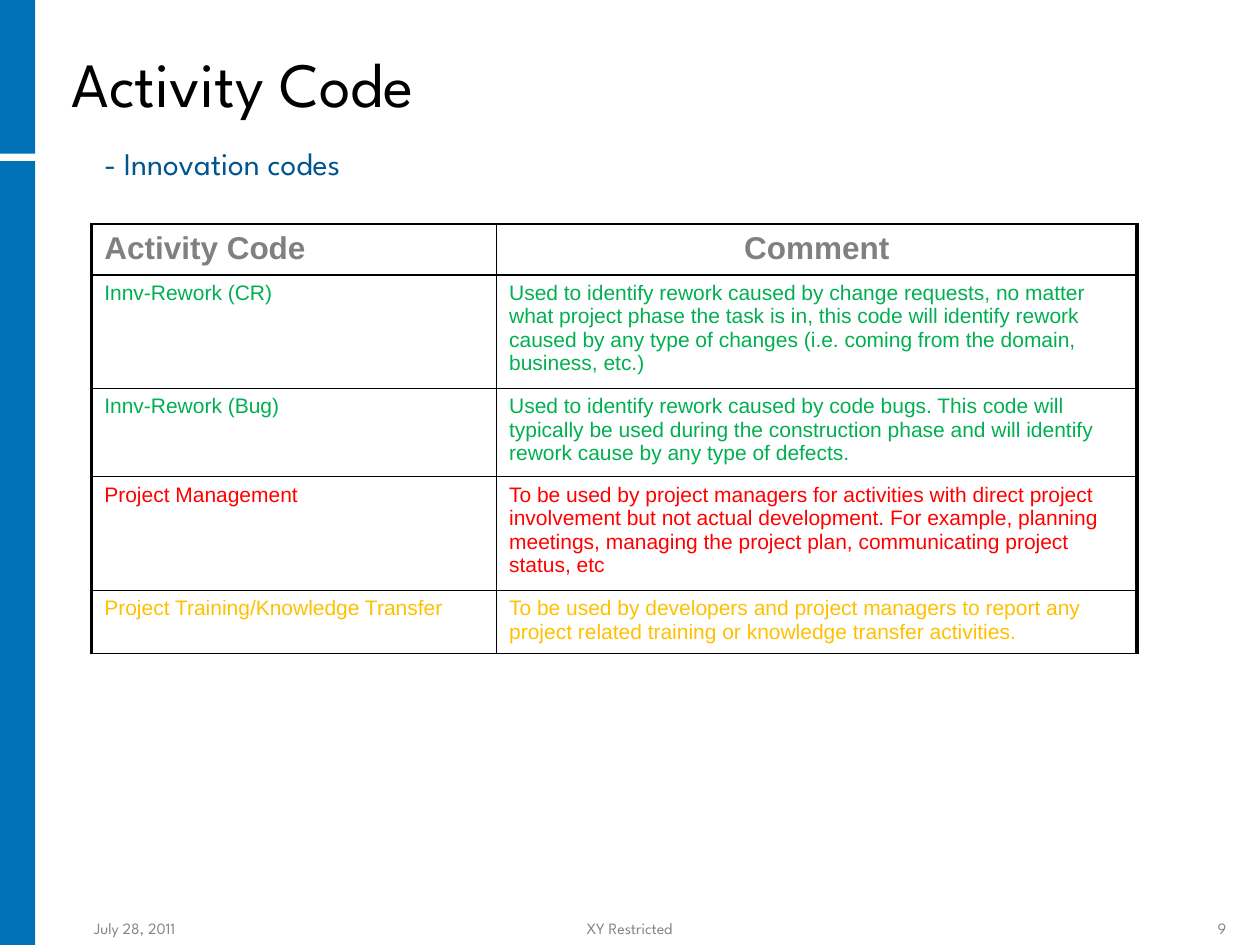
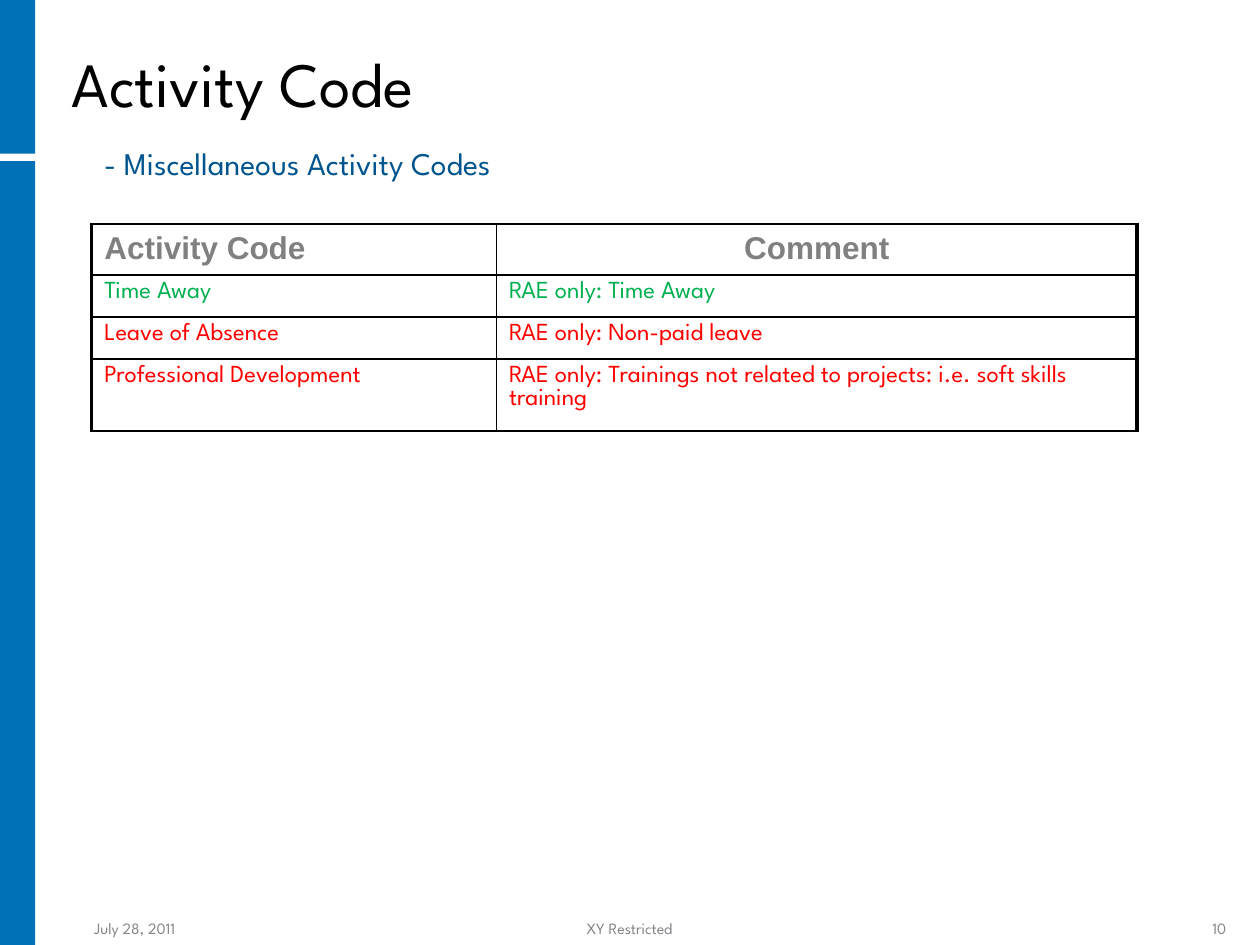
from dataclasses import dataclass

from lxml import etree
from pptx import Presentation
from pptx.dml.color import RGBColor
from pptx.enum.shapes import MSO_SHAPE
from pptx.enum.text import MSO_ANCHOR, MSO_AUTO_SIZE, PP_ALIGN
from pptx.oxml.ns import qn
from pptx.util import Cm, Pt

RECT = MSO_SHAPE.RECTANGLE
TOP, BOTTOM = MSO_ANCHOR.TOP, MSO_ANCHOR.BOTTOM
LEFT, CENTER, RIGHT = PP_ALIGN.LEFT, PP_ALIGN.CENTER, PP_ALIGN.RIGHT
NO_FIT, GROW = MSO_AUTO_SIZE.NONE, MSO_AUTO_SIZE.SHAPE_TO_FIT_TEXT


@dataclass(frozen=True)
class Theme:
    """Colours, fonts and type sizes of the deck."""
    band: str = "0071B4"
    title: str = "000000"
    sub: str = "00558E"
    foot: str = "848589"
    head: str = "808080"
    line: str = "000000"
    green: str = "00B050"
    red: str = "FF0000"
    amber: str = "FFC000"
    font: str = "League Spartan"
    sans: str = "Arial"
    title_pt: float = 36
    sub_pt: float = 18
    foot_pt: float = 9
    head_pt: float = 18
    thin: float = 1
    thick: float = 2.25


THEME = Theme()
PAGE = (0, 0, 25.4, 19.05)
TITLE = (1.19, 0.3, 21.18, 2.26)
FOOT = (1.65, 18.42, 23.32, 0.61)
SUB_AT = (1.85, 2.77)
GRID_AT = (1.85, 4.52)
COLS = (8.16, 12.91)
HEAD_HIGH = 1.02


def write(frame, text, size, color, font=THEME.font, align=LEFT, bold=False):
    """Put one styled paragraph into a text frame."""
    frame.text = text
    para = frame.paragraphs[0]
    para.alignment = align
    for run in para.runs:
        run.font.name = font
        run.font.size = Pt(size)
        run.font.bold = bold
        run.font.color.rgb = RGBColor.from_string(color)
    return para


def add_bands(slide, box):
    """Draw the split side band down the left edge of the box."""
    left, top, _, high = box
    wide, split, gap = 0.71, 3.1, 0.15
    for start, end in ((split + gap, high), (0, split)):
        band = slide.shapes.add_shape(
            RECT, Cm(left), Cm(top + start), Cm(wide), Cm(end - start))
        band.shadow.inherit = False
        band.fill.solid()
        band.fill.fore_color.rgb = RGBColor.from_string(THEME.band)
        band.line.fill.background()


def add_foot(slide, box, number):
    """Set date, label and page number along the foot box."""
    left, top, wide, high = box
    last = 2.12
    parts = (
        ("July 28, 2011", 0, 4.06, LEFT),
        ("XY Restricted", 4.27, 13.54, CENTER),
        (str(number), wide - last, last, RIGHT),
    )
    for text, shift, span, align in parts:
        note = slide.shapes.add_textbox(
            Cm(left + shift), Cm(top), Cm(span), Cm(high))
        frame = note.text_frame
        frame.word_wrap = True
        frame.vertical_anchor = BOTTOM
        write(frame, text, THEME.foot_pt, THEME.foot, align=align)


def add_title(slide, box, text):
    """Move and format the title placeholder."""
    title = slide.shapes.title
    title.left, title.top, title.width, title.height = map(Cm, box)
    frame = title.text_frame
    frame.auto_size = NO_FIT
    frame.vertical_anchor = BOTTOM
    para = write(frame, text, THEME.title_pt, THEME.title)
    para.line_spacing = 0.9


def add_sub(slide, box, text):
    """Add the subtitle line."""
    sub = slide.shapes.add_textbox(*map(Cm, box))
    frame = sub.text_frame
    frame.word_wrap = False
    frame.auto_size = GROW
    write(frame, text, THEME.sub_pt, THEME.sub)


def edge(cell, widths):
    """Draw the left, right, top and bottom borders of a cell."""
    props = cell._tc.get_or_add_tcPr()
    for spot, (side, width) in enumerate(zip("LRTB", widths)):
        line = etree.Element(qn(f"a:ln{side}"), w=str(Pt(width)))
        fill = etree.SubElement(line, qn("a:solidFill"))
        etree.SubElement(fill, qn("a:srgbClr"), val=THEME.line)
        props.insert(spot, line)


def add_grid(slide, spot, rows, font, size):
    """Build the code table from rows of height, colour, code and comment."""
    highs = [HEAD_HIGH] + [row[0] for row in rows]
    shape = slide.shapes.add_table(
        len(highs), len(COLS), *map(Cm, (*spot, sum(COLS), sum(highs))))
    grid = shape.table
    grid.first_row = False
    grid.horz_banding = False
    for col, wide in zip(grid.columns, COLS):
        col.width = Cm(wide)
    for row, high in zip(grid.rows, highs):
        row.height = Cm(high)
    for cell, text, align in zip(
            grid.rows[0].cells, ("Activity Code", "Comment"), (LEFT, CENTER)):
        write(cell.text_frame, text, THEME.head_pt, THEME.head,
              THEME.sans, align, True)
    for at, (_, color, *texts) in enumerate(rows, 1):
        for cell, text in zip(grid.rows[at].cells, texts):
            write(cell.text_frame, text, size, color, font)
    thin, thick = THEME.thin, THEME.thick
    for row in grid.rows:
        for cell, sides in zip(row.cells, ((thick, thin), (thin, thick))):
            cell.vertical_anchor = TOP
            cell.fill.background()
            edge(cell, (*sides, thin, thin))


def add_page(deck, number, sub, wide, rows, font, size):
    """Add one activity code slide."""
    slide = deck.slides.add_slide(deck.slide_layouts[5])
    add_bands(slide, PAGE)
    add_foot(slide, FOOT, number)
    add_title(slide, TITLE, "Activity Code")
    add_sub(slide, (*SUB_AT, wide, 1.02), sub)
    add_grid(slide, GRID_AT, rows, font, size)


INNOV = (
    (2.29, THEME.green, "Innv-Rework (CR)",
     "Used to identify rework caused by change requests, no matter what "
     "project phase the task is in, this code will identify rework caused by "
     "any type of changes (i.e. coming from the domain, business, etc.)"),
    (1.78, THEME.green, "Innv-Rework (Bug)",
     "Used to identify rework caused by code bugs. This code will typically "
     "be used during the construction phase and will identify rework cause "
     "by any type of defects."),
    (2.29, THEME.red, "Project Management",
     "To be used by project managers for activities with direct project "
     "involvement but not actual development. For example, planning "
     "meetings, managing the project plan, communicating project status, etc"),
    (1.27, THEME.amber, "Project Training/Knowledge Transfer",
     "To be used by developers and project managers to report any project "
     "related training or knowledge transfer activities."),
)
MISC = (
    (0.85, THEME.green, "Time Away", "RAE only: Time Away"),
    (0.85, THEME.red, "Leave of Absence", "RAE only: Non-paid leave"),
    (1.45, THEME.red, "Professional Development",
     "RAE only: Trainings not related to projects: i.e. soft skills training"),
)


def main():
    """Build and save the deck."""
    deck = Presentation()
    deck.slide_width, deck.slide_height = map(Cm, PAGE[2:])
    add_page(deck, 9, "- Innovation codes", 5.49, INNOV, THEME.sans, 12)
    add_page(deck, 10, "- Miscellaneous Activity Codes", 8.86, MISC,
             THEME.font, 14)
    deck.save("out.pptx")


main()
